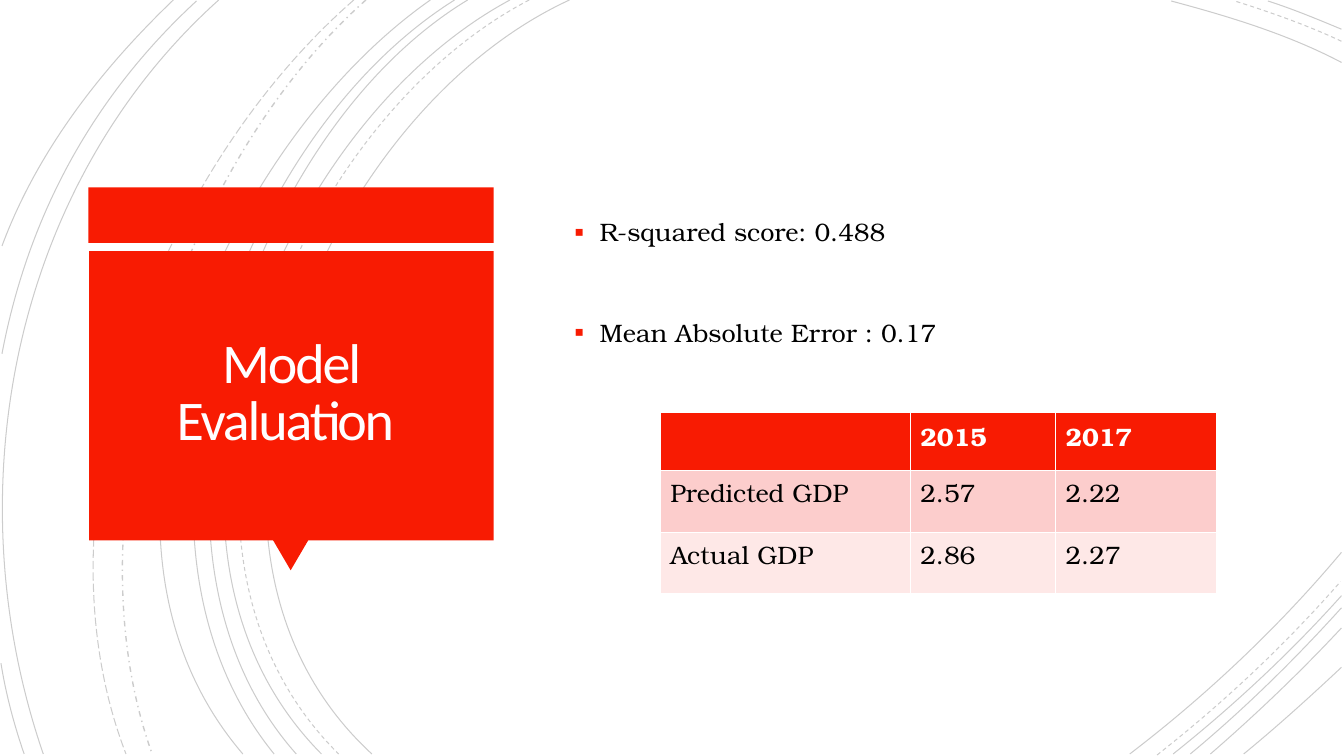
from lxml.etree import SubElement
from pptx import Presentation
from pptx.dml.color import RGBColor
from pptx.enum.dml import MSO_LINE
from pptx.enum.shapes import MSO_SHAPE
from pptx.enum.text import MSO_ANCHOR, MSO_AUTO_SIZE, PP_ALIGN
from pptx.oxml.ns import qn
from pptx.util import Cm, Pt

RED = RGBColor(0xF8, 0x1B, 0x02)
ROSE = RGBColor(0xFC, 0xCD, 0xCC)
BLUSH = RGBColor(0xFE, 0xE8, 0xE7)
WHITE = RGBColor(0xFF, 0xFF, 0xFF)
CREAM = RGBColor(0xFF, 0xFE, 0xFF)
BLACK = RGBColor(0, 0, 0)
SERIF = "TeX Gyre Bonum"
UNIT = Cm(0.0254)  # curve points are in hundredths of an inch


def write(para, text, font=SERIF, size=18, color=BLACK, bold=False,
          align=None, lead=None, before=0):
    run = para.add_run()
    run.text = text
    run.font.name = font
    run.font.size = Pt(size)
    run.font.color.rgb = color
    run.font.bold = bold
    para.alignment = align
    para.line_spacing = lead
    para.space_before = Pt(before)
    return run


def arc(points, dash, width):
    """Draw one cubic curve from its start, two handles and end."""
    pen = slide.shapes.build_freeform(*points[0], scale=UNIT)
    pen.add_line_segments(points[1:], close=False)
    shape = pen.convert_to_shape()
    shape.shadow.inherit = False
    shape.fill.background()
    shape.line.width = Pt(width)
    shape.line.color.rgb = BLACK
    shape.line.dash_style = dash
    tint = shape._element.spPr.find(".//" + qn("a:ln") + "//" + qn("a:srgbClr"))
    SubElement(tint, qn("a:alpha"), val="20000")
    track = shape._element.spPr.find(".//" + qn("a:path"))
    steps = track.findall(qn("a:lnTo"))
    bend = SubElement(track, qn("a:cubicBezTo"))
    for step in steps:
        bend.append(step[0])
        track.remove(step)


deck = Presentation()
deck.slide_width = Cm(33.87)
deck.slide_height = Cm(19.05)
slide = deck.slides.add_slide(deck.slide_layouts[1])

# Background curves
arcs = [
    (MSO_LINE.SOLID, 0.75, [
        [(565, 0), (315, 115), (143, 540), (369, 748)],
        [(1331, 62), (1278, 34), (1218, 16), (1162, 1)],
        [(1121, 748), (1197, 690), (1269, 622), (1331, 548)],
        [(506, 0), (270, 127), (110, 537), (319, 748)],
        [(1331, 29), (1307, 19), (1283, 9), (1258, 1)],
        [(1164, 748), (1223, 701), (1280, 648), (1331, 591)],
        [(464, 0), (244, 133), (110, 541), (294, 748)],
        [(1181, 748), (1234, 704), (1284, 655), (1331, 603)],
        [(451, 0), (231, 138), (97, 533), (272, 748)],
        [(1201, 748), (1246, 709), (1290, 667), (1331, 623)],
        [(427, 0), (217, 147), (53, 529), (241, 748)],
        [(1234, 748), (1267, 721), (1299, 692), (1331, 662)],
        [(217, 0), (11, 185), (-46, 490), (43, 748)],
        [(195, 1), (92, 96), (28, 214), (2, 351)],
        [(1, 658), (6, 689), (14, 719), (24, 748)],
        [(172, 0), (100, 69), (37, 150), (2, 244)],
    ]),
    (MSO_LINE.DASH, 0.75, [
        [(525, 0), (285, 125), (123, 537), (336, 748)],
        [(1331, 41), (1297, 25), (1260, 12), (1225, 1)],
        [(1148, 749), (1213, 698), (1275, 640), (1330, 577)],
    ]),
    (MSO_LINE.DASH_DOT, 1, [[(363, 0), (176, 166), (65, 509), (151, 748)]]),
    (MSO_LINE.LONG_DASH, 0.75, [[(351, 0), (157, 169), (29, 499), (125, 748)]]),
]
for dash, width, curves in arcs:
    for points in curves:
        arc(points, dash, width)

# Red title panel
panel = [
    (MSO_SHAPE.RECTANGLE, 2.23, 4.72, 10.21, 1.4, 0),
    (MSO_SHAPE.ISOSCELES_TRIANGLE, 6.88, 13.61, 0.89, 0.76, 180),
    (MSO_SHAPE.RECTANGLE, 2.25, 6.33, 10.19, 7.29, 0),
]
for kind, left, top, width, height, turn in panel:
    block = slide.shapes.add_shape(kind, Cm(left), Cm(top), Cm(width), Cm(height))
    block.rotation = turn
    block.shadow.inherit = False
    block.fill.solid()
    block.fill.fore_color.rgb = RED
    block.line.fill.background()

# Title and list
title = slide.shapes.title
body = slide.placeholders[1]
spots = [
    (title, 2.46, 6.53, 9.73, 6.83, MSO_ANCHOR.MIDDLE),
    (body, 14.22, 2.24, 17.45, 14.58, MSO_ANCHOR.TOP),
]
for holder, left, top, width, height, anchor in spots:
    holder.left, holder.top = Cm(left), Cm(top)
    holder.width, holder.height = Cm(width), Cm(height)
    frame = holder.text_frame
    frame.word_wrap = True
    frame.auto_size = MSO_AUTO_SIZE.NONE
    frame.vertical_anchor = anchor
    slide.shapes._spTree.append(holder._element)  # in front of the panel

frame = title.text_frame
frame.margin_left = frame.margin_right = Cm(0.64)
frame.margin_top = frame.margin_bottom = Cm(0.64)
run = write(frame.paragraphs[0], "Model Evaluation ", font="Calibri", size=40,
            color=CREAM, align=PP_ALIGN.CENTER, lead=0.85)
run.font._element.set("spc", "-150")

frame = body.text_frame
frame.margin_top = Cm(3.06)
scores = [("R-squared score: 0.488", 0), ("Mean Absolute Error : 0.17", 46)]
for index, (text, before) in enumerate(scores):
    para = frame.add_paragraph() if index else frame.paragraphs[0]
    write(para, text, align=PP_ALIGN.LEFT, lead=1.2, before=before)
    props = para._element.get_or_add_pPr()
    props.set("marL", str(Cm(0.64)))
    props.set("indent", str(Cm(-0.64)))
    SubElement(SubElement(props, qn("a:buClr")), qn("a:srgbClr"), val=str(RED))
    SubElement(props, qn("a:buSzPct"), val="110000")
    SubElement(props, qn("a:buChar"), char="▪")

# Table of predicted and actual values
rows = [
    ("", "2015", "2017"),
    ("Predicted GDP", "2.57", "2.22"),
    ("Actual GDP", "2.86", "2.27"),
]
fills = [RED, ROSE, BLUSH]
grid = slide.shapes.add_table(3, 3, Cm(16.64), Cm(10.39), Cm(14.02), Cm(4.57)).table
for column, width in zip(grid.columns, [6.3, 3.66, 4.06]):
    column.width = Cm(width)
for row, height in zip(grid.rows, [1.47, 1.55, 1.55]):
    row.height = Cm(height)
for r, (texts, fill) in enumerate(zip(rows, fills)):
    for c, text in enumerate(texts):
        cell = grid.cell(r, c)
        cell.fill.solid()
        cell.fill.fore_color.rgb = fill
        if text:
            write(cell.text_frame.paragraphs[0], text, bold=r == 0,
                  color=BLACK if r else WHITE)

deck.save("out.pptx")
